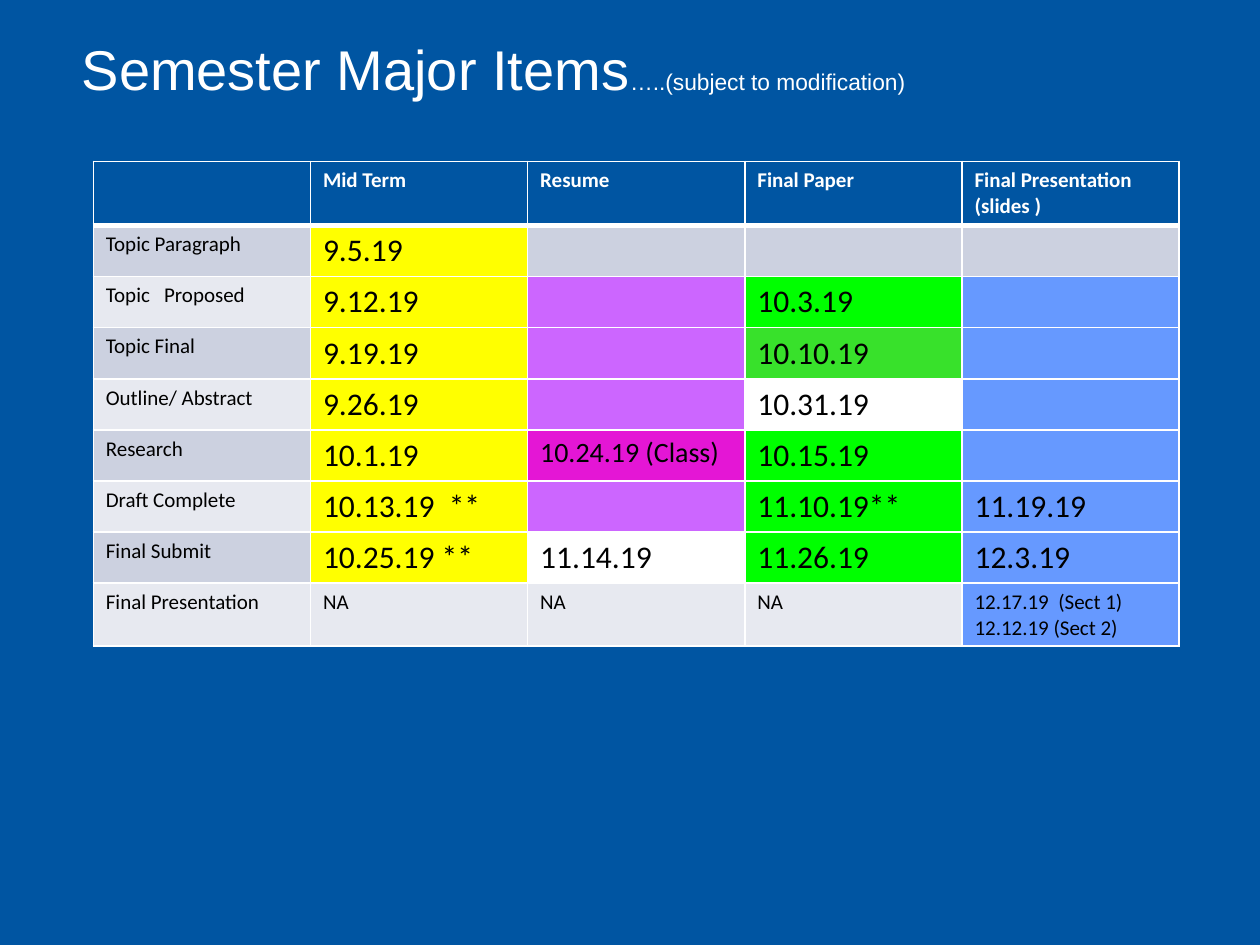
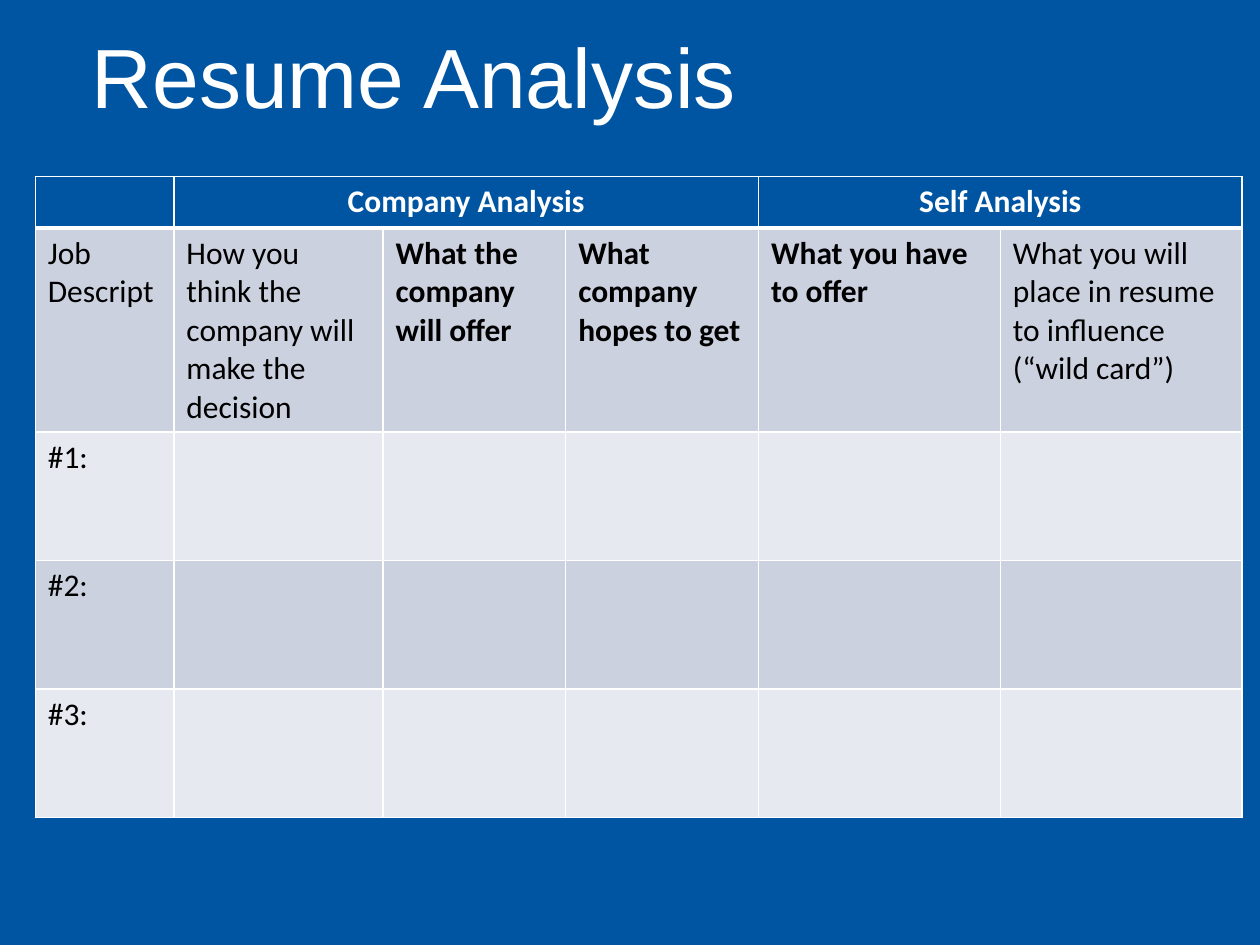
from pptx import Presentation
from pptx.dml.color import RGBColor as Rgb
from pptx.enum.text import MSO_ANCHOR as Anchor, PP_ALIGN as Align
from pptx.oxml import parse_xml
from pptx.oxml.ns import nsdecls
from pptx.util import Inches, Pt

HUES = {
    "blue": "0055A2", "white": "FFFFFF", "black": "000000",
    "dark": "CCD1E0", "light": "E7E9F0", "yellow": "FFFF00",
    "violet": "CC66FF", "pink": "E416D5", "green": "00FF00",
    "lime": "38E12B", "sky": "6699FF",
}

DATES = [
    ["", "Mid Term", "Resume", "Final Paper", "Final Presentation  (slides )"],
    ["Topic Paragraph", "9.5.19", "", "", ""],
    ["Topic   Proposed", "9.12.19", "", "10.3.19", ""],
    ["Topic Final", "9.19.19", "", "10.10.19", ""],
    ["Outline/ Abstract", "9.26.19", "", "10.31.19", ""],
    ["Research", "10.1.19", "10.24.19 (Class)", "10.15.19", ""],
    ["Draft Complete", "10.13.19  **", "", "11.10.19**", "11.19.19"],
    ["Final Submit", "10.25.19 **", "11.14.19", "11.26.19", "12.3.19"],
    ["Final Presentation", "NA", "NA", "NA",
     "12.17.19  (Sect 1)\n12.12.19 (Sect 2)"],
]
TRACKS = {1: "yellow", 2: "violet", 3: "green", 4: "sky"}
MARKS = {(3, 3): "lime", (4, 3): "white", (5, 2): "pink", (7, 2): "white"}
PLAIN = {(1, 2), (1, 3), (1, 4), (8, 1), (8, 2), (8, 3)}

RESUME = [
    ["", "Company Analysis", "", "", "Self Analysis", ""],
    ["Job Descript", "How you think the company will make the decision",
     "What the company will offer", "What company hopes to get",
     "What you have to offer",
     "What you will place in resume to influence (“wild card”)"],
] + [[f"#{num}:"] + [""] * 5 for num in (1, 2, 3)]


def hue(name):
    """Return the named colour."""
    return Rgb.from_string(HUES[name])


def style(font, name, size, tint, bold=False):
    """Set the face, size, colour and weight of a font."""
    font.name, font.size, font.bold = name, Pt(size), bold
    font.color.rgb = hue(tint)


def add_page(deck):
    """Add a blank slide with the shared background."""
    page = deck.slides.add_slide(deck.slide_layouts[6])
    page.background.fill.solid()
    page.background.fill.fore_color.rgb = hue("blue")
    return page


def add_title(page, left, top, *parts):
    """Add a title made of (text, size) parts."""
    box = page.shapes.add_textbox(
        Inches(left), Inches(top), Inches(8.62), Inches(0.97))
    frame = box.text_frame
    frame.word_wrap = True
    frame.vertical_anchor = Anchor.MIDDLE
    para = frame.paragraphs[0]
    para.line_spacing = 0.9
    for text, size in parts:
        run = para.add_run()
        run.text = text
        style(run.font, "Arial", size, "white")


def add_edges(cell, row):
    """Draw white cell borders, with a thick rule below the header."""
    wide = {(0, "B"), (1, "T")}
    props = cell._tc.get_or_add_tcPr()
    for side in "LRTB":
        width = Pt(3 if (row, side) in wide else 1)
        props.append(parse_xml(
            f'<a:ln{side} {nsdecls("a")} w="{width}"><a:solidFill>'
            f'<a:srgbClr val="{HUES["white"]}"/></a:solidFill></a:ln{side}>'))


def band(row):
    """Return the fill of a header or banded row."""
    return "blue" if row == 0 else "dark" if row % 2 else "light"


def add_grid(page, left, top, cols, rows, texts, fill, size, bold):
    """Add a table whose looks come from rules on row and column."""
    table = page.shapes.add_table(
        len(rows), len(cols), Inches(left), Inches(top),
        Inches(sum(cols)), Inches(sum(rows))).table
    table.horz_banding = False
    for col, width in zip(table.columns, cols):
        col.width = Inches(width)
    for row, height in zip(table.rows, rows):
        row.height = Inches(height)
    for r, line in enumerate(texts):
        for c, text in enumerate(line):
            cell = table.cell(r, c)
            add_edges(cell, r)
            cell.fill.solid()
            cell.fill.fore_color.rgb = hue(fill(r, c))
            cell.text_frame.text = text
            tint = "black" if r else "white"
            for para in cell.text_frame.paragraphs:
                for run in para.runs:
                    style(run.font, "Calibri", size(r, c), tint, bold(r, c))
    return table


def date_fill(row, col):
    """Return the fill of a cell in the dates table."""
    if row == 0 or (row, col) in PLAIN:
        return band(row)
    return MARKS.get((row, col)) or TRACKS.get(col, band(row))


def date_size(row, col):
    """Return the text size of a cell in the dates table."""
    if row in (0, 8) or col == 0:
        return 12
    return 16 if (row, col) == (5, 2) else 18


def add_dates(deck):
    """Build the slide of semester due dates."""
    page = add_page(deck)
    add_title(page, 0.55, 0.09, ("Semester Major Items", 32),
              ("…..(subject to modification)", 13))
    add_grid(page, 0.74, 1.28, [8.62 / 5] * 5, [0.51] + [2.84 / 7] * 7 + [0.5],
             DATES, date_fill, date_size, lambda r, c: r == 0)


def add_resume(deck):
    """Build the slide of the resume analysis."""
    page = add_page(deck)
    add_title(page, 0.63, 0.16, ("Resume Analysis", 48))
    table = add_grid(
        page, 0.28, 1.4, [1.1, 1.66, 1.45, 1.53, 1.92, 1.92],
        [0.41, 1.62] + [1.02] * 3, RESUME, lambda r, c: band(r),
        lambda r, c: 18, lambda r, c: r == 0 or (r == 1 and c in (2, 3, 4)))
    for first, last in ((1, 3), (4, 5)):
        head = table.cell(0, first)
        head.merge(table.cell(0, last))
        head.text_frame.paragraphs[0].alignment = Align.CENTER


def main():
    """Build and save the slides."""
    deck = Presentation()
    deck.slide_width, deck.slide_height = Inches(10), Inches(7.5)
    add_dates(deck)
    add_resume(deck)
    deck.save("out.pptx")


if __name__ == "__main__":
    main()
